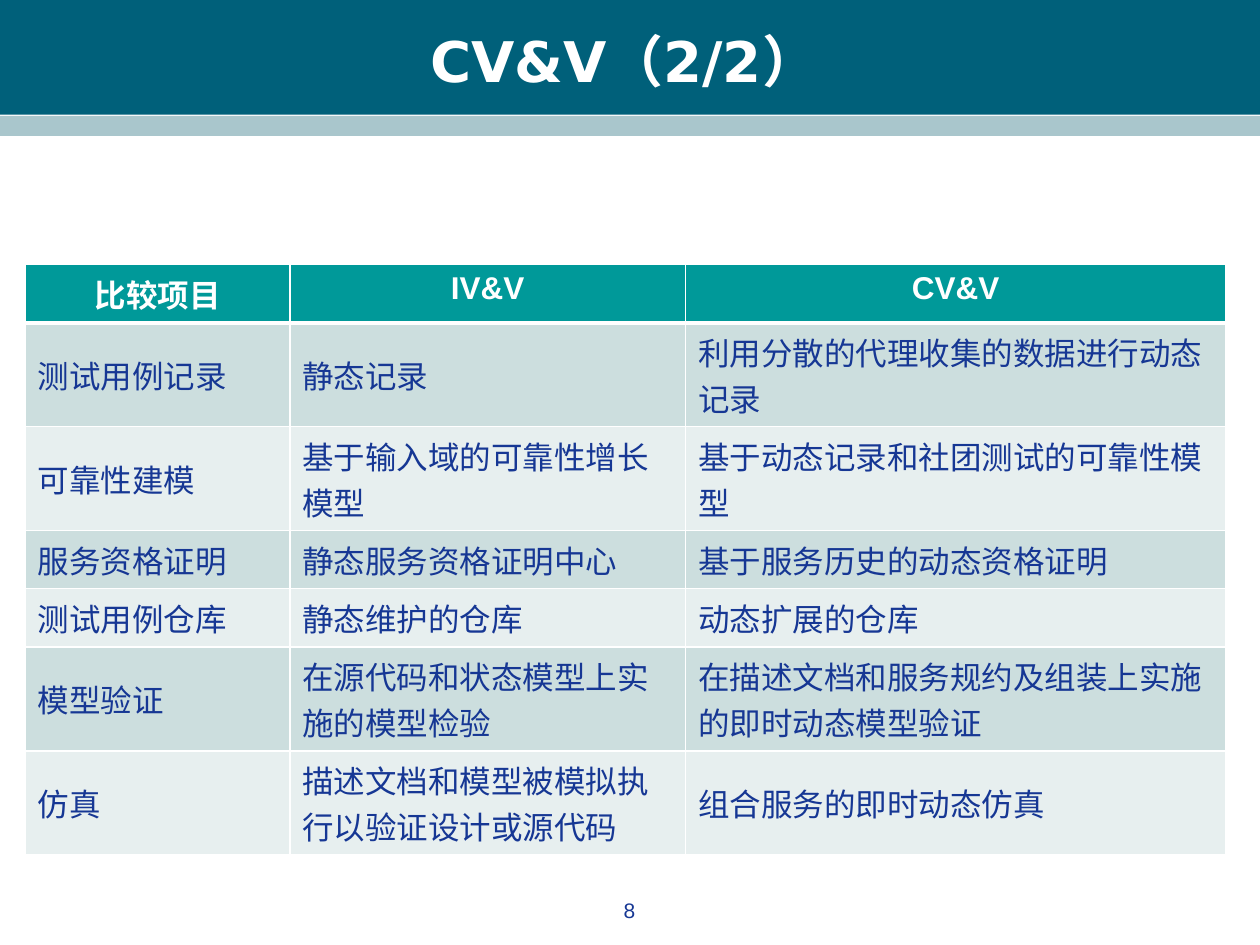
from lxml.etree import SubElement as Sub
from pptx import Presentation
from pptx.dml.color import RGBColor
from pptx.enum.shapes import MSO_SHAPE as Shape
from pptx.enum.text import MSO_ANCHOR as Anchor, PP_ALIGN as Align
from pptx.oxml.ns import qn
from pptx.util import Inches, Pt

COLS, ROWS = 100, 75
WHITE, INK = "FFFFFF", "163794"
HEADER, BANDS = "009999", ("E7EFEF", "CCDEDE")


def color(value):
    return RGBColor.from_string(value)


class Deck:
    font = "Arial"

    def __init__(self, width, height):
        self.prs = Presentation()
        self.prs.slide_width, self.prs.slide_height = Inches(width), Inches(height)
        self.s = self.prs.slides.add_slide(self.prs.slide_layouts[5])

    def x(self, cols):
        return round(self.prs.slide_width * cols / COLS)

    def y(self, rows):
        return round(self.prs.slide_height * rows / ROWS)

    def box(self, left, top, width, height):
        return self.x(left), self.y(top), self.x(width), self.y(height)

    def add_text(self, tf, text, size, ink, bold=False, align=Align.LEFT, font=None):
        p = tf.paragraphs[0]
        p.alignment = align
        r = p.add_run()
        r.text = text
        f = r.font
        f.name, f.size, f.bold = font or self.font, Pt(size), bold
        f.color.rgb = color(ink)

    def band(self, top, height, fill):
        sp = self.s.shapes.add_shape(Shape.RECTANGLE, *self.box(0, top, COLS, height))
        sp.shadow.inherit = False
        sp.fill.solid()
        sp.fill.fore_color.rgb = color(fill)
        sp.line.fill.background()

    def title(self, text, *grid):
        sp = self.s.shapes.title
        self.s.shapes.element.append(sp.element)
        sp.left, sp.top, sp.width, sp.height = self.box(*grid)
        tf = sp.text_frame
        tf.word_wrap, tf.vertical_anchor = True, Anchor.MIDDLE
        self.add_text(tf, text, 32, WHITE, True, Align.CENTER, "DejaVu Sans")

    def label(self, text, *grid):
        tf = self.s.shapes.add_textbox(*self.box(*grid)).text_frame
        tf.word_wrap = True
        self.add_text(tf, text, 12, INK, align=Align.CENTER)

    def borders(self, cell, top, bottom):
        props = cell._tc.get_or_add_tcPr()
        for side, width in (("L", 1), ("R", 1), ("T", top), ("B", bottom)):
            ln = Sub(props, qn(f"a:ln{side}"), w=str(Pt(width)))
            Sub(Sub(ln, qn("a:solidFill")), qn("a:srgbClr"), val=WHITE)

    def table(self, left, top, widths, heights, rows):
        grid = self.box(left, top, sum(widths), sum(heights))
        table = self.s.shapes.add_table(len(rows), len(widths), *grid).table
        for col, width in zip(table.columns, widths):
            col.width = self.x(width)
        for i, (row, height, texts) in enumerate(zip(table.rows, heights, rows)):
            row.height = self.y(height)
            head = i == 0
            for cell, text in zip(row.cells, texts):
                self.borders(cell, 3 if i == 1 else 1, 3 if head else 1)
                cell.fill.solid()
                cell.fill.fore_color.rgb = color(HEADER if head else BANDS[i % 2])
                cell.vertical_anchor = Anchor.TOP if head else Anchor.MIDDLE
                self.add_text(cell.text_frame, text, 18, WHITE if head else INK,
                              head, Align.CENTER if head else Align.LEFT)


def main():
    deck = Deck(10, 7.5)
    deck.band(0, 9.1, "00607A")
    deck.band(9.2, 1.6, "A9C6CC")
    deck.title("CV&V（2/2）", 3.3, 1.7, 92.5, 6.2)
    one, two = 4.1, 7
    deck.table(2, 21, (21, 31.4, 42.9), (one, two, two, one, one, two, two), (
        ("比较项目", "IV&V", "CV&V"),
        ("测试用例记录", "静态记录", "利用分散的代理收集的数据进行动态记录"),
        ("可靠性建模", "基于输入域的可靠性增长模型", "基于动态记录和社团测试的可靠性模型"),
        ("服务资格证明", "静态服务资格证明中心", "基于服务历史的动态资格证明"),
        ("测试用例仓库", "静态维护的仓库", "动态扩展的仓库"),
        ("模型验证", "在源代码和状态模型上实施的模型检验",
         "在描述文档和服务规约及组装上实施的即时动态模型验证"),
        ("仿真", "描述文档和模型被模拟执行以验证设计或源代码", "组合服务的即时动态仿真"),
    ))
    deck.label("8", 38.3, 70.7, 23.3, 3.5)
    deck.prs.save("out.pptx")


if __name__ == "__main__":
    main()
